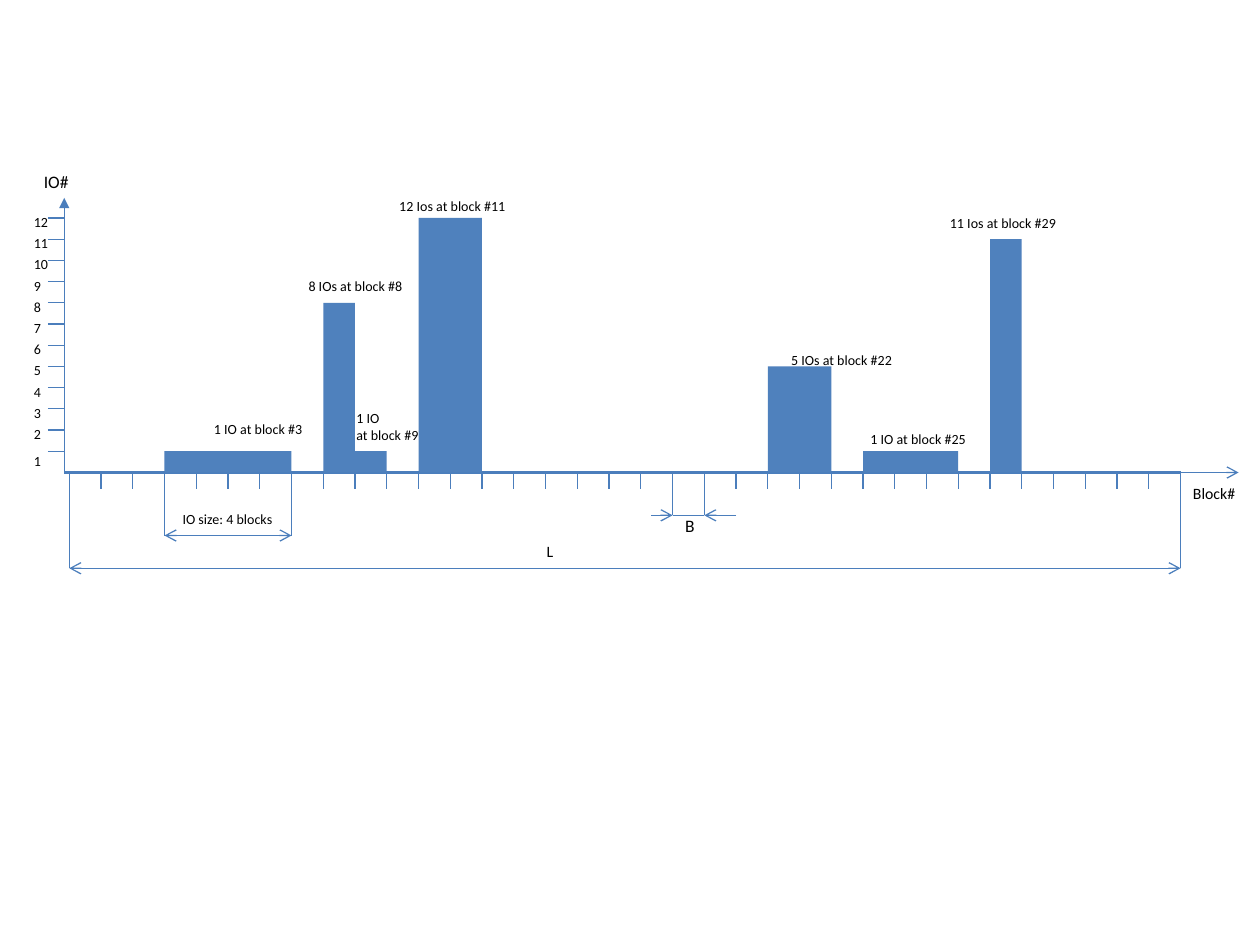
import pptx
import pptx.dml.color
import pptx.enum.shapes
import pptx.enum.text
import pptx.oxml.xmlchemy
import pptx.util

Inches = pptx.util.Inches

AXIS_X, BASELINE, TICK = 0.51, 3.75, 0.13
FIRST_X, LAST_X, BLOCK_COUNT = 0.55, 9.37, 35
TOP_Y, IO_COUNT = 1.73, 12
BLOCK_WIDTH = (LAST_X - FIRST_X) / BLOCK_COUNT
IO_HEIGHT = (BASELINE - TOP_Y) / IO_COUNT
TICK_END = BASELINE + TICK


def rgb(color):
    return pptx.dml.color.RGBColor.from_string(color)


def block_x(block):
    return FIRST_X + block * BLOCK_WIDTH


def io_y(count):
    return BASELINE - count * IO_HEIGHT


def write(frame, text, size=8, color="000000", font="Calibri", wrap=False):
    frame.word_wrap = wrap
    frame.auto_size = pptx.enum.text.MSO_AUTO_SIZE.SHAPE_TO_FIT_TEXT
    frame.text = text
    for paragraph in frame.paragraphs:
        paragraph.font.size = pptx.util.Pt(size)
        paragraph.font.name = font
        paragraph.font.color.rgb = rgb(color)


class Diagram:
    """Draws styled lines, bars and labels on one slide."""

    line_color = "4B7EBC"
    bar_color = "4F81BD"

    def __init__(self, slide):
        self.shapes = slide.shapes

    def line(self, x1, y1, x2, y2, width=0.75, head=None, tail=None):
        connector = self.shapes.add_connector(
            pptx.enum.shapes.MSO_CONNECTOR.STRAIGHT,
            Inches(x1), Inches(y1), Inches(x2), Inches(y2))
        connector.line.color.rgb = rgb(self.line_color)
        connector.line.width = pptx.util.Pt(width)
        properties = connector.line._get_or_add_ln()
        for tag, kind in (("a:headEnd", head), ("a:tailEnd", tail)):
            if kind:
                end = pptx.oxml.xmlchemy.OxmlElement(tag)
                end.set("type", kind)
                properties.append(end)
        properties.getparent().append(pptx.oxml.xmlchemy.OxmlElement("a:effectLst"))

    def bar(self, block, blocks, count):
        bar = self.shapes.add_shape(
            pptx.enum.shapes.MSO_SHAPE.RECTANGLE,
            Inches(block_x(block)), Inches(io_y(count)),
            Inches(blocks * BLOCK_WIDTH), Inches(count * IO_HEIGHT))
        bar.shadow.inherit = False
        bar.fill.solid()
        bar.fill.fore_color.rgb = rgb(self.bar_color)
        bar.line.fill.background()

    def label(self, text, left, top, width, height=0.24, **text_format):
        box = self.shapes.add_textbox(
            Inches(left), Inches(top), Inches(width), Inches(height))
        write(box.text_frame, text, **text_format)


def draw_axes(diagram):
    diagram.line(AXIS_X, BASELINE, LAST_X, BASELINE, width=2.25)
    diagram.line(AXIS_X, BASELINE, AXIS_X, 1.57, tail="triangle")
    diagram.line(LAST_X, BASELINE, 9.83, BASELINE, tail="arrow")
    for block in range(BLOCK_COUNT + 1):
        diagram.line(block_x(block), BASELINE, block_x(block), TICK_END)
    for count in range(1, IO_COUNT + 1):
        diagram.line(AXIS_X - TICK, io_y(count), AXIS_X, io_y(count))
        label_top = 3.54 if count == 1 else io_y(count + 0.5)
        diagram.label(str(count), 0.17, label_top, 0.31 if count > 9 else 0.26)
    diagram.label("IO#", 0.25, 1.31, 0.4, 0.27, size=10)
    diagram.label("Block#", LAST_X, 3.79, 0.54, 0.25, size=9)


def draw_dimensions(diagram):
    for first, last, y, width in ((3, 7, 4.25, 0.75), (19, 20, 4.09, 0.5),
                                  (0, BLOCK_COUNT, 4.51, 0.5)):
        for block in (first, last):
            diagram.line(block_x(block), TICK_END, block_x(block), y, width)
    for first, last, y in ((3, 7, 4.25), (0, BLOCK_COUNT, 4.51)):
        diagram.line(block_x(first), y, block_x(last), y, head="arrow", tail="arrow")
    diagram.line(block_x(19), 4.09, block_x(20), 4.09, width=0.5)
    diagram.line(5.17, 4.09, block_x(19), 4.09, tail="arrow")
    diagram.line(block_x(21), 4.09, block_x(20), 4.09, tail="arrow")
    diagram.label("IO size: 4 blocks", 1.35, 4, 0.92)
    diagram.label("B", block_x(19), 4.04, 0.25, 0.27, size=10, wrap=True)
    diagram.label("L", 4.24, 4.25, 0.25, 0.25, size=9)


def draw_requests(diagram):
    for block, blocks, count in ((3, 4, 1), (8, 1, 8), (9, 1, 1), (11, 2, 12),
                                 (22, 2, 5), (25, 3, 1), (29, 1, 11)):
        diagram.bar(block, blocks, count)
    for text, left, top, width in (
            ("1 IO at block #3", 1.6, 3.29, 0.9),
            ("8 IOs at block #8", 2.35, 2.15, 0.95),
            ("12 Ios at block #11", 3.07, 1.52, 1.05),
            ("5 IOs at block #22", 6.18, 2.74, 1),
            ("11 Ios at block #29", 7.44, 1.65, 1.05)):
        diagram.label(text, left, top, width)
    diagram.label("1 IO\nat block #9", 2.73, 3.2, 0.71, 0.37, wrap=True)
    diagram.label("1 IO at block #25", 6.81, 3.37, 0.97, wrap=True)


def main():
    presentation = pptx.Presentation()
    presentation.slide_width = Inches(10)
    presentation.slide_height = Inches(7.5)
    diagram = Diagram(presentation.slides.add_slide(presentation.slide_layouts[6]))
    draw_axes(diagram)
    draw_dimensions(diagram)
    draw_requests(diagram)
    presentation.save("out.pptx")


if __name__ == "__main__":
    main()
